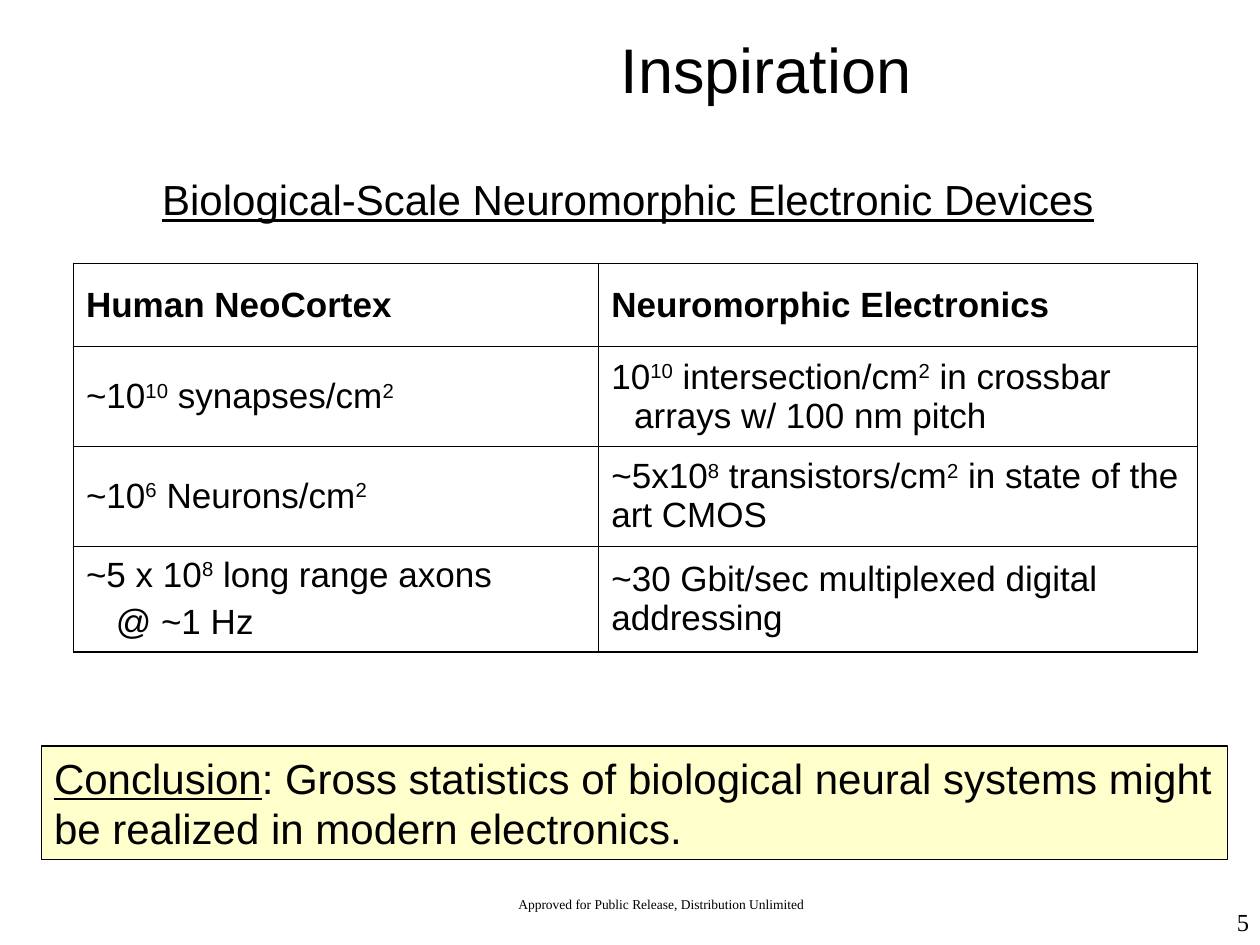
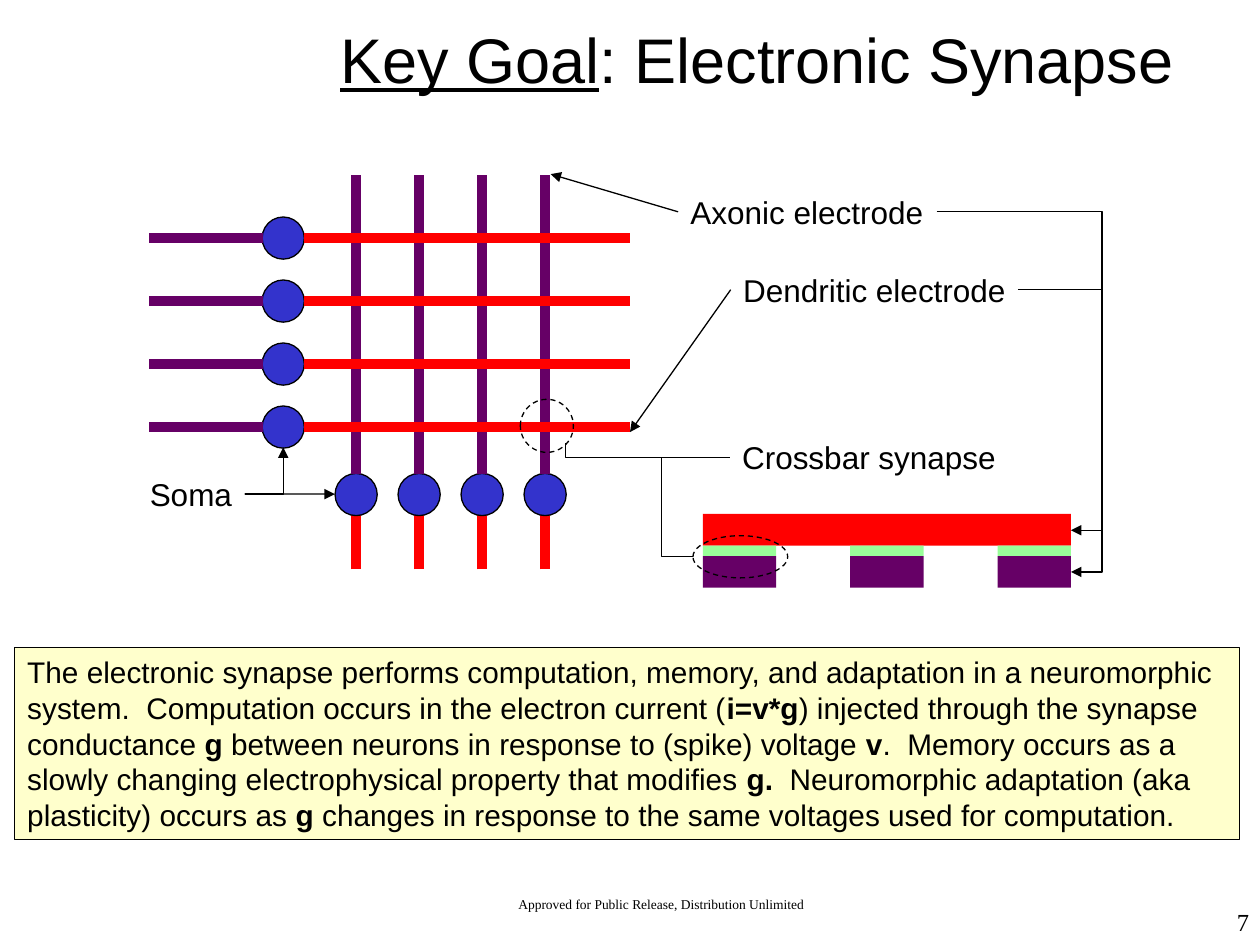
import pptx
import pptx.dml.color
import pptx.enum.dml
import pptx.enum.shapes
import pptx.enum.text
import pptx.oxml.ns
import pptx.util
from lxml import etree

Cm, Pt = pptx.util.Cm, pptx.util.Pt
qn = pptx.oxml.ns.qn
KIND = pptx.enum.shapes.MSO_SHAPE
LINK = pptx.enum.shapes.MSO_CONNECTOR
ALIGN = pptx.enum.text.PP_ALIGN
ANCHOR = pptx.enum.text.MSO_ANCHOR

HUE = {"ink": "000000", "note": "FFFFCC", "axon": "660066",
       "dend": "FF0000", "soma": "3333CC", "film": "99FF99"}
SANS = {"name": "Arial"}
SERIF = {"name": "Times New Roman"}
MARKS = {"sup": {}, "bold": {"bold": True}, "under": {"underline": True}}

# Text between bars takes the mark named beside it.
FOOT = "Approved for Public Release, Distribution Unlimited"
HEAD = "|Biological-Scale Neuromorphic Electronic Devices|"
ROWS = [
    (["Human NeoCortex"], ["Neuromorphic Electronics"]),
    (["~10|10| synapses/cm|2|"],
     ["10|10| intersection/cm|2| in crossbar arrays w/ 100 nm pitch"]),
    (["~10|6| Neurons/cm|2|"],
     ["~5x10|8| transistors/cm|2| in state of the art CMOS"]),
    (["~5 x 10|8| long range axons", "@ ~1 Hz"],
     ["~30 Gbit/sec multiplexed digital addressing"]),
]
WIDE = [10.59, 12.07]
HIGH = [1.68, 2.01, 2.01, 2.13]
INDENT = {(1, 1, 0): (0.46, -0.46), (3, 0, 1): (0.6, 0)}
ENDING = ("|Conclusion|: Gross statistics of biological neural systems might "
          "be realized in modern electronics.")
GIST = ("The electronic synapse performs computation, memory, and adaptation "
        "in a neuromorphic system.  Computation occurs in the electron current "
        "(|i=v*g|) injected through the synapse conductance |g| between neurons "
        "in response to (spike) voltage |v|.  Memory occurs as a slowly changing "
        "electrophysical property that modifies |g. | Neuromorphic adaptation "
        "(aka plasticity) occurs as |g| changes in response to the same voltages "
        "used for computation.")
LABELS = {
    "Crossbar synapse": (14.71, 8.71, 5.61, 1.02),
    "Axonic electrode": (13.67, 3.76, 5.21, 1.02),
    "Dendritic electrode": (14.73, 5.33, 5.79, 1.02),
    "Soma": (2.77, 9.45, 2.16, 1.02),
}
# label, side, end point
ARROWS = [
    ("Axonic electrode", 1, (11.1, 3.51)),
    ("Dendritic electrode", 1, (12.7, 8.71)),
    ("Soma", 3, (6.75, 9.96)),
]
# start, end, x of the middle leg (None for a single turn), arrowhead
ELBOWS = [
    ((20.52, 5.84), (21.59, 10.69), 22.22, True),
    ((18.88, 4.27), (21.59, 11.53), 22.22, True),
    ((14.71, 9.22), (11.4, 8.94), None, False),
    ((14.71, 9.22), (13.97, 11.22), 13.33, False),
    ((4.93, 9.96), (5.71, 9.02), None, True),
]
STEP, BALL = 1.27, 0.85
COLS = [7.18 + STEP * i for i in range(4)]
LANES = [4.8 + STEP * i for i in range(4)]


def rgb(key):
    return pptx.dml.color.RGBColor.from_string(HUE[key])


def dress(item, look):
    for key, value in look.items():
        setattr(item, key, value)


def write(para, text, size, face=SANS, mark="bold", **look):
    """Fill a paragraph, giving every second part between bars the mark."""
    dress(para, look)
    for i, part in enumerate(text.split("|")):
        if not part:
            continue
        run = para.add_run()
        run.text = part
        dress(run.font, {**face, "size": Pt(size)})
        run.font.color.rgb = rgb("ink")
        if i % 2:
            dress(run.font, MARKS[mark])
            if mark == "sup":
                run.font._element.set("baseline", "30000")


def label(slide, place, text, size, **look):
    """Add a text box; no right margin, so a snug line never breaks."""
    box = slide.shapes.add_textbox(*map(Cm, place))
    dress(box.text_frame, {"word_wrap": True, "margin_right": 0})
    write(box.text_frame.paragraphs[0], text, size, **look)
    return box


def form(slide, kind, place, fill=None, edge=None, dash=False):
    shape = slide.shapes.add_shape(kind, *map(Cm, place))
    shape.shadow.inherit = False
    if fill:
        shape.fill.solid()
        shape.fill.fore_color.rgb = rgb(fill)
    else:
        shape.fill.background()
    if edge:
        shape.line.color.rgb = rgb(edge)
        shape.line.width = Pt(0.75)
    else:
        shape.line.fill.background()
    if dash:
        shape.line.dash_style = pptx.enum.dml.MSO_LINE.DASH
    return shape


def note(slide, place, text, size, mark):
    frame = form(slide, KIND.RECTANGLE, place, "note", "ink").text_frame
    dress(frame, {"word_wrap": True, "vertical_anchor": ANCHOR.TOP})
    write(frame.paragraphs[0], text, size, mark=mark, alignment=ALIGN.LEFT)


def wire(slide, start, end, hue="ink", width=0.75, tip=False,
         kind=LINK.STRAIGHT):
    line = slide.shapes.add_connector(kind, *map(Cm, (*start, *end)))
    line.line.color.rgb = rgb(hue)
    line.line.width = Pt(width)
    props = line._element.spPr
    if tip:
        etree.SubElement(props.find(qn("a:ln")), qn("a:tailEnd"), type="triangle")
    etree.SubElement(props, qn("a:effectLst"))
    return line


def elbow(slide, start, end, bend, tip):
    line = wire(slide, start, end, tip=tip, kind=LINK.ELBOW)
    geom = line._element.spPr.find(qn("a:prstGeom"))
    if bend is None:
        geom.set("prst", "bentConnector2")
        return
    ratio = (bend - start[0]) / (end[0] - start[0])
    guides = geom.find(qn("a:avLst"))
    if guides is None:
        guides = etree.SubElement(geom, qn("a:avLst"))
    etree.SubElement(guides, qn("a:gd"), name="adj1",
                     fmla=f"val {round(ratio * 100000)}")


def begin(deck, title, left, top, page):
    """Add a slide with its title, footer and page number."""
    slide = deck.slides.add_slide(deck.slide_layouts[5])
    head = slide.shapes.title
    dress(head, {"left": Cm(left), "top": Cm(top),
                 "width": Cm(20.17), "height": Cm(2.74)})
    head.text_frame.vertical_anchor = ANCHOR.MIDDLE
    write(head.text_frame.paragraphs[0], title, 36, mark="under",
          alignment=ALIGN.CENTER)
    label(slide, (7.19, 18, 12.02, 0.64), FOOT, 7.7, face=SERIF,
          alignment=ALIGN.CENTER, line_spacing=0.8)
    label(slide, (20.14, 18.16, 5.04, 1.27), page, 14, face=SERIF,
          alignment=ALIGN.RIGHT)
    return slide


def frame(cell, row, col):
    """Rule a cell: heavy on the table's rim, light inside."""
    rims = {"L": col == 0, "R": col == len(WIDE) - 1,
            "T": row == 0, "B": row == len(HIGH) - 1}
    props = cell._tc.get_or_add_tcPr()
    for side, rim in rims.items():
        rule = etree.SubElement(props, qn("a:ln" + side),
                                w=str(Pt(1.08 if rim else 0.45)))
        fill = etree.SubElement(rule, qn("a:solidFill"))
        etree.SubElement(fill, qn("a:srgbClr"), val=HUE["ink"])
    cell.fill.background()


def grid(slide):
    table = slide.shapes.add_table(
        len(HIGH), len(WIDE), Cm(1.48), Cm(5.31),
        Cm(sum(WIDE)), Cm(sum(HIGH))).table
    dress(table, {"first_row": False, "horz_banding": False})
    for col, width in zip(table.columns, WIDE):
        col.width = Cm(width)
    for r, (row, height) in enumerate(zip(ROWS, HIGH)):
        table.rows[r].height = Cm(height)
        for c, lines in enumerate(row):
            cell = table.cell(r, c)
            cell.vertical_anchor = ANCHOR.MIDDLE
            frame(cell, r, c)
            for i, text in enumerate(lines):
                body = cell.text_frame
                para = body.add_paragraph() if i else body.paragraphs[0]
                if i:
                    para.space_before = Pt(5)
                if (r, c, i) in INDENT:
                    left, first = INDENT[r, c, i]
                    props = para._p.get_or_add_pPr()
                    props.set("marL", str(Cm(left)))
                    props.set("indent", str(Cm(first)))
                write(para, text, 20, {**SANS, "bold": r == 0}, mark="sup")


def ball(slide, x, y):
    form(slide, KIND.OVAL, (x - BALL / 2, y - BALL / 2, BALL, BALL),
         "soma", "ink")


def mesh(slide):
    """Draw the crossbar of axons and dendrites with their somas."""
    for x in COLS:
        wire(slide, (x, 11.48), (x, 10.38), "dend", 6)
        ball(slide, x, 9.97)
        wire(slide, (x, 9.55), (x, 3.53), "axon", 6)
    for y in LANES:
        ball(slide, 5.71, y)
        wire(slide, (6.13, y), (12.7, y), "dend", 6)
        wire(slide, (5.3, y), (3, y), "axon", 6)
    form(slide, KIND.OVAL, (10.49, 8.05, 1.07, 1.07), edge="ink", dash=True)


def stack(slide):
    """Draw the side view of the crossbar."""
    form(slide, KIND.RECTANGLE, (14.17, 10.36, 7.42, 0.64), "dend")
    for i in range(3):
        x = 14.17 + 2.97 * i
        form(slide, KIND.RECTANGLE, (x, 11.21, 1.48, 0.64), "axon")
        form(slide, KIND.RECTANGLE, (x, 11, 1.48, 0.21), "film")
    form(slide, KIND.OVAL, (13.97, 10.8, 1.91, 0.85), edge="ink", dash=True)


def main():
    deck = pptx.Presentation()
    dress(deck, {"slide_width": Cm(25.4), "slide_height": Cm(19.05)})

    slide = begin(deck, "Inspiration", 5.36, 0, "5")
    grid(slide)
    label(slide, (3.02, 3.38, 19.28, 1.27), HEAD, 24, mark="under")
    note(slide, (0.84, 15.04, 23.9, 2.29), ENDING, 24, "under")

    slide = begin(deck, "|Key Goal|: Electronic Synapse", 5.18, -0.2, "7")
    note(slide, (0.3, 13.06, 24.69, 3.86), GIST, 17, "bold")
    mesh(slide)
    stack(slide)
    tags = {text: label(slide, place, text, 18)
            for text, place in LABELS.items()}
    for text, side, end in ARROWS:
        x, y, w, h = LABELS[text]
        start = (x + (w if side == 3 else 0), y + h / 2)
        wire(slide, start, end, tip=True).begin_connect(tags[text], side)
    for start, end, bend, tip in ELBOWS:
        elbow(slide, start, end, bend, tip)
    deck.save("out.pptx")


if __name__ == "__main__":
    main()
